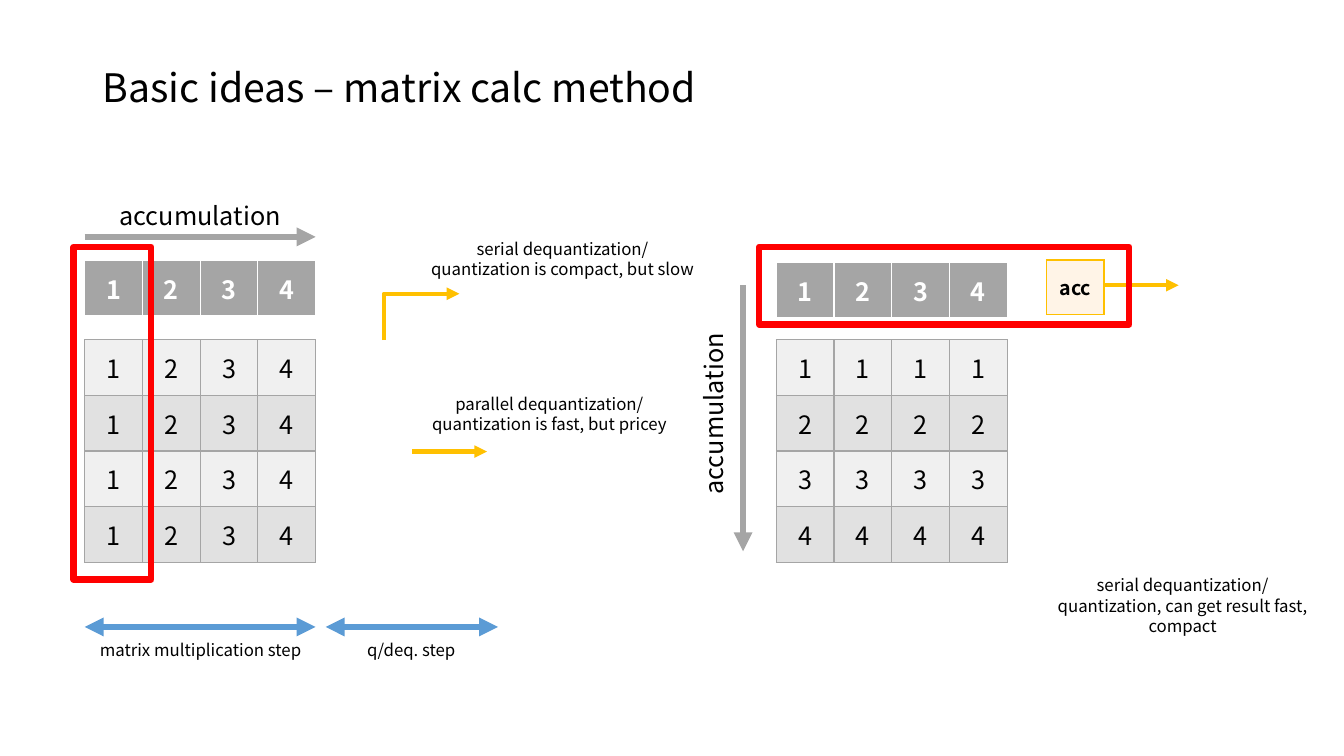
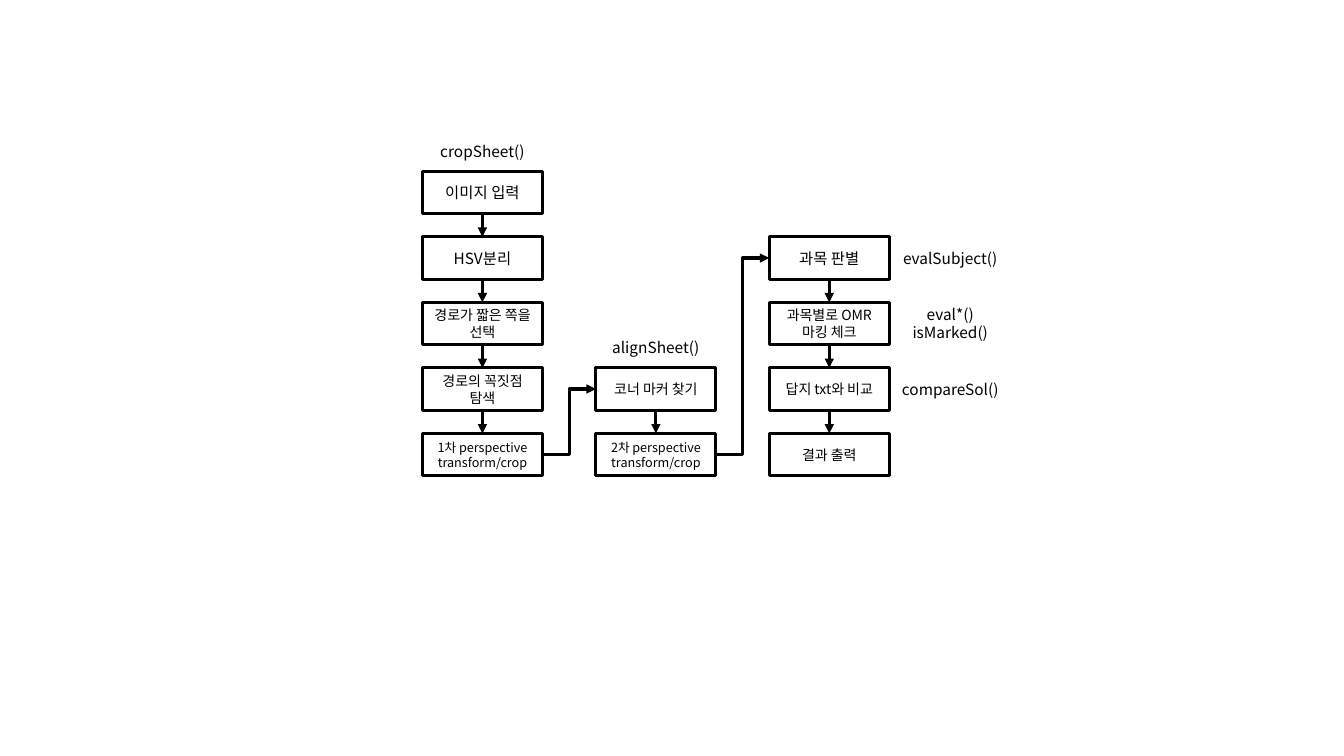
from dataclasses import dataclass

from lxml import etree
from pptx import Presentation
from pptx import util as u
from pptx.dml import color
from pptx.enum import shapes, text
from pptx.oxml import ns


@dataclass(frozen=True)
class Theme:
    font: str = "Noto Sans CJK KR"
    ink: str = "000000"
    white: str = "FFFFFF"
    gray: str = "A5A5A5"
    bands: tuple = ("F0F0F0", "E1E1E1")
    amber: str = "FFC000"
    cream: str = "FFF4E7"
    red: str = "FF0000"
    blue: str = "5B9BD5"
    title: int = 28
    body: int = 18
    acc: int = 14
    note: int = 12
    step: int = 11
    step_small: int = 10
    step_tiny: int = 9
    thick: float = 4.5
    medium: float = 3
    outline: float = 2.25


def rgb(value):
    return color.RGBColor.from_string(value)


def sub(parent, tag, **attrs):
    return etree.SubElement(parent, ns.qn(tag), **attrs)


class Deck:
    def __init__(self, theme):
        self.t = theme
        self.prs = Presentation()
        self.prs.slide_width = u.Inches(13.33)
        self.prs.slide_height = u.Inches(7.5)
        self.s = None

    def slide(self, title=None):
        layout = self.prs.slide_layouts[6 if title is None else 5]
        self.s = self.prs.slides.add_slide(layout)
        if title is not None:
            sp = self.s.shapes.title
            sp.left, sp.top = u.Inches(0.92), u.Inches(0.4)
            sp.width, sp.height = u.Inches(11.5), u.Inches(0.98)
            self.fill_text(sp.text_frame, [title], self.t.title,
                           align=text.PP_ALIGN.LEFT)
            sp.text_frame.paragraphs[0].line_spacing = 0.9

    def fill_text(self, tf, lines, size, ink=None, bold=False,
                  align=text.PP_ALIGN.CENTER):
        tf.word_wrap = True
        tf.vertical_anchor = text.MSO_ANCHOR.MIDDLE
        for i, line in enumerate(lines):
            p = tf.add_paragraph() if i else tf.paragraphs[0]
            p.alignment = align
            r = p.add_run()
            r.text = line
            r.font.name = self.t.font
            r.font.size = u.Pt(size)
            r.font.bold = bold
            r.font.color.rgb = rgb(ink or self.t.ink)
            sub(r.font._element, "a:ea", typeface=self.t.font)

    def label(self, x, y, w, h, lines, size, rotation=0):
        sp = self.s.shapes.add_textbox(*map(u.Inches, (x, y, w, h)))
        sp.rotation = rotation
        self.fill_text(sp.text_frame, lines, size)

    def box(self, x, y, w, h, line, width, lines=(), size=None):
        sp = self.s.shapes.add_shape(
            shapes.MSO_SHAPE.RECTANGLE, *map(u.Inches, (x, y, w, h)))
        sp.shadow.inherit = False
        sp.fill.background()
        sp.line.color.rgb = rgb(line)
        sp.line.width = u.Pt(width)
        self.fill_text(sp.text_frame, lines, size)
        return sp

    def arrow(self, start, end, line, width, both=False, elbow=False):
        kind = shapes.MSO_CONNECTOR.ELBOW if elbow else shapes.MSO_CONNECTOR.STRAIGHT
        c = self.s.shapes.add_connector(kind, *map(u.Inches, (*start, *end)))
        c.line.color.rgb = rgb(line)
        c.line.width = u.Pt(width)
        ln = c.line._get_or_add_ln()
        if both:
            sub(ln, "a:headEnd", type="triangle")
        sub(ln, "a:tailEnd", type="triangle")
        sub(c._element.spPr, "a:effectLst")
        return c

    def corner(self, start, end, line, width):
        c = self.arrow(start, end, line, width, elbow=True)
        c._element.spPr.find(ns.qn("a:prstGeom")).set("prst", "bentConnector2")
        c.rotation = 90

    def join(self, a, a_side, b, b_side, elbow=False):
        c = self.arrow((0, 0), (1, 1), self.t.ink, self.t.outline, elbow=elbow)
        c.begin_connect(a, a_side)
        c.end_connect(b, b_side)

    def table(self, x, y, w, h, rows, fills, borders, size,
              ink=None, bold=False, margins=None):
        cols = len(rows[0])
        table = self.s.shapes.add_table(
            len(rows), cols, *map(u.Inches, (x, y, w, h))).table
        table.first_row = table.horz_banding = False
        for i, row in enumerate(rows):
            for j, value in enumerate(row):
                cell = table.cell(i, j)
                self.fill_text(cell.text_frame, [value], size, ink, bold)
                cell.vertical_anchor = text.MSO_ANCHOR.MIDDLE
                if margins:
                    cell.margin_left = cell.margin_right = u.Inches(margins[0])
                    cell.margin_top = cell.margin_bottom = u.Inches(margins[1])
                pr = cell._tc.get_or_add_tcPr()
                for side, (line, width) in zip("LRTB", borders):
                    ln = sub(pr, f"a:ln{side}", w=str(u.Pt(width)))
                    sub(sub(ln, "a:solidFill"), "a:srgbClr", val=line)
                cell.fill.solid()
                cell.fill.fore_color.rgb = rgb(fills[i % len(fills)])

    def matrix(self, x, rows):
        self.table(x, 3.37, 2.29, 2.21, rows, self.t.bands,
                   [(self.t.gray, 1)] * 4, self.t.body, margins=(0.17, 0.08))

    def vector(self, x, y):
        edge = (self.t.white, 1)
        self.table(x, y, 2.29, 0.56, ["1234"], [self.t.gray],
                   [edge, edge, edge, (self.t.white, 3)], self.t.body,
                   self.t.white, True)


def matrix_slide(d):
    t = d.t
    d.slide("Basic ideas – matrix calc method")

    d.matrix(0.84, ["1234"] * 4)
    d.vector(0.84, 2.58)
    d.arrow((0.84, 2.35), (3.13, 2.35), t.gray, t.thick)
    d.label(1.03, 1.92, 1.91, 0.43, ["accumulation"], t.body)

    d.matrix(7.7, [n * 4 for n in "1234"])
    d.vector(7.7, 2.6)
    d.arrow((7.37, 2.83), (7.37, 5.47), t.gray, t.thick)
    d.label(6.12, 3.89, 1.91, 0.43, ["accumulation"], t.body, rotation=270)
    d.label(9.95, 5.58, 3.56, 0.85,
            ["serial dequantization/", "quantization, can get result fast,", "compact"],
            t.note)
    d.table(10.38, 2.58, 0.57, 0.54, [["acc"]], [t.cream],
            [(t.amber, 1)] * 4, t.acc, bold=True)
    d.arrow((10.95, 2.83), (11.69, 2.83), t.amber, t.medium)
    d.box(7.53, 2.45, 3.67, 0.77, t.red, t.thick)

    for left, right, label_x, caption in (
            (0.84, 3.13, 0.73, "matrix multiplication step"),
            (3.23, 4.94, 2.82, "q/deq. step")):
        d.arrow((left, 6.22), (right, 6.22), t.blue, t.thick, both=True)
        d.label(label_x, 6.21, 2.52, 0.47, [caption], t.note)
    d.box(0.73, 2.45, 0.77, 3.3, t.red, t.thick)

    d.corner((4.41, 3.52), (3.95, 2.77), t.amber, t.medium)
    d.label(3.8, 2.14, 3.56, 0.85,
            ["serial dequantization/", "quantization is compact, but slow"], t.note)
    d.arrow((4.09, 4.48), (4.83, 4.48), t.amber, t.medium)
    d.label(3.67, 3.68, 3.56, 0.85,
            ["parallel dequantization/", "quantization is fast, but pricey"], t.note)


def flow_slide(d):
    t = d.t
    left, top, col_step, row_step, w, h = 4.19, 1.7, 1.72, 0.65, 1.19, 0.42
    columns = [
        (0, [("이미지 입력", t.step), ("HSV분리", t.step),
             ("경로가 짧은 쪽을 선택", t.step_small),
             ("경로의 꼭짓점 탐색", t.step_small),
             ("1차 perspective transform/crop", t.step_tiny)]),
        (3, [("코너 마커 찾기", t.step_small),
             ("2차 perspective transform/crop", t.step_tiny)]),
        (1, [("과목 판별", t.step), ("과목별로 OMR마킹 체크", t.step_small),
             ("답지 txt와 비교", t.step_small), ("결과 출력", t.step_small)]),
    ]
    d.slide()
    last = None
    for col, (first_row, steps) in enumerate(columns):
        boxes = [d.box(left + col * col_step, top + (first_row + i) * row_step, w, h,
                       t.ink, t.outline, [step], size)
                 for i, (step, size) in enumerate(steps)]
        for a, b in zip(boxes, boxes[1:]):
            d.join(a, 2, b, 0)
        if last is not None:
            d.join(last, 3, boxes[0], 1, elbow=True)
        last = boxes[-1]

    for col, row, name in ((0, 0, "cropSheet()"), (1, 3, "alignSheet()")):
        d.label(left + col * col_step, top + row * row_step - 0.41, w, h, [name], t.step)
    for row, names in enumerate(
            (["evalSubject()"], ["eval*()", "isMarked()"], ["compareSol()"]), 1):
        d.label(8.83, top + row * row_step, w, h, names, t.step)


def main():
    d = Deck(Theme())
    matrix_slide(d)
    flow_slide(d)
    d.prs.save("out.pptx")


if __name__ == "__main__":
    main()
